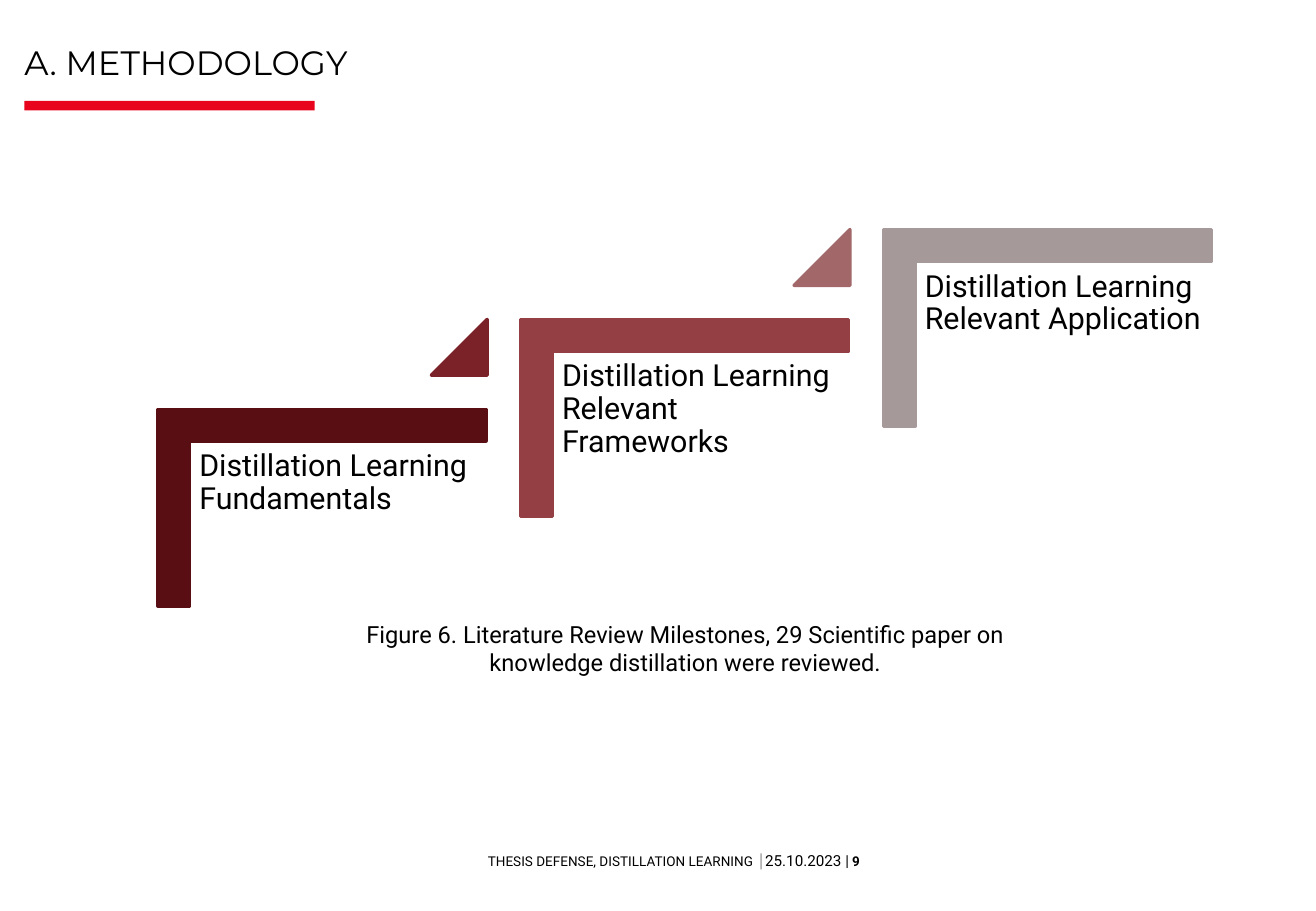
import pptx
import pptx.util
from pptx.dml.color import RGBColor
from pptx.enum.shapes import MSO_SHAPE
from pptx.enum.text import MSO_ANCHOR, PP_ALIGN

PX = 4572  # EMU, 200 px to the inch
INK = RGBColor(0x01, 0x01, 0x01)
GREY = RGBColor(0x80, 0x80, 0x80)
RED = RGBColor(0xE9, 0x04, 0x1E)
WHITE = RGBColor(0xFF, 0xFF, 0xFF)
STEP_COLOURS = [
    RGBColor(0x58, 0x0E, 0x13),
    RGBColor(0x93, 0x3F, 0x43),
    RGBColor(0xA6, 0x99, 0x99),
]
TRIANGLE_COLOURS = [RGBColor(0x7A, 0x22, 0x27), RGBColor(0xA1, 0x67, 0x69)]
STEP_TEXTS = [
    "Distillation Learning Fundamentals",
    "Distillation Learning Relevant Frameworks",
    "Distillation Learning Relevant Application",
]
STEP_X, STEP_Y = 597, -148


def add_filled(kind, box, colour, line_width=0):
    shape = slide.shapes.add_shape(kind, *[value * PX for value in box])
    shape.shadow.inherit = False
    shape.fill.solid()
    shape.fill.fore_color.rgb = colour
    if line_width:
        shape.line.color.rgb = colour
        shape.line.width = pptx.util.Pt(line_width)
    else:
        shape.line.fill.background()
    return shape


def write(shape, runs, inset=0, anchor=MSO_ANCHOR.TOP, font="Roboto", **paragraph_format):
    """Fill a shape with one paragraph; each run is (text, size, colour, bold)."""
    frame = shape.text_frame
    frame_format = {"word_wrap": True, "vertical_anchor": anchor}
    for side in ("left", "right", "top", "bottom"):
        frame_format["margin_" + side] = inset * PX
    for name, value in frame_format.items():
        setattr(frame, name, value)
    paragraph = frame.paragraphs[0]
    for name, value in paragraph_format.items():
        setattr(paragraph, name, value)
    for text, size, colour, bold in runs:
        run = paragraph.add_run()
        run.text = text
        run.font.color.rgb = colour
        font_format = {"name": font, "size": pptx.util.Pt(size), "bold": bold}
        for name, value in font_format.items():
            setattr(run.font, name, value)


presentation = pptx.Presentation()
presentation.slide_width = 2166 * PX
presentation.slide_height = 1500 * PX
slide = presentation.slides.add_slide(presentation.slide_layouts[5])

# Title and its red rule
title = slide.shapes.title
title_box = {"left": 40, "top": 32, "width": 2014, "height": 102}
for name, value in title_box.items():
    setattr(title, name, value * PX)
write(title, [("A. METHODOLOGY", 20, INK, False)], anchor=MSO_ANCHOR.BOTTOM,
      font="Montserrat", alignment=PP_ALIGN.LEFT, line_spacing=0.75)
add_filled(MSO_SHAPE.RECTANGLE, (40, 166, 478, 16), RED)

# Rising steps, with a triangle between each pair
for index, (text, colour) in enumerate(zip(STEP_TEXTS, STEP_COLOURS)):
    x, y = index * STEP_X, index * STEP_Y
    corner = add_filled(MSO_SHAPE.CORNER, (368 + x, 566 + y, 324, 540), colour, 2)
    corner.rotation = 90
    for position in range(2):
        corner.adjustments[position] = 0.16
    label_box = (314 + x, 728 + y, 487, 428)
    label = slide.shapes.add_textbox(*[value * PX for value in label_box])
    write(label, [(text, 18, INK, False)], inset=14, line_spacing=0.9)
    if index < len(TRIANGLE_COLOURS):
        triangle = add_filled(MSO_SHAPE.ISOSCELES_TRIANGLE, (710 + x, 526 + y, 92, 92),
                              TRIANGLE_COLOURS[index], 2)
        triangle.adjustments[0] = 1

caption = add_filled(MSO_SHAPE.RECTANGLE, (516, 1020, 1224, 94), WHITE)
write(caption, [("Figure 6. Literature Review Milestones, 29 Scientific paper on "
                 "knowledge distillation were reviewed.", 14, INK, False)],
      alignment=PP_ALIGN.CENTER)

footer = slide.shapes.add_textbox(*[value * PX for value in (798, 1402, 628, 30)])
write(footer, [
    ("THESIS DEFENSE, DISTILLATION LEARNING ", 8, INK, False),
    ("│", 8, GREY, False),
    ("25.10.2023 |", 9, INK, False),
    (" 9 ", 8, INK, True),
], anchor=MSO_ANCHOR.MIDDLE, alignment=PP_ALIGN.CENTER)

presentation.save("out.pptx")
